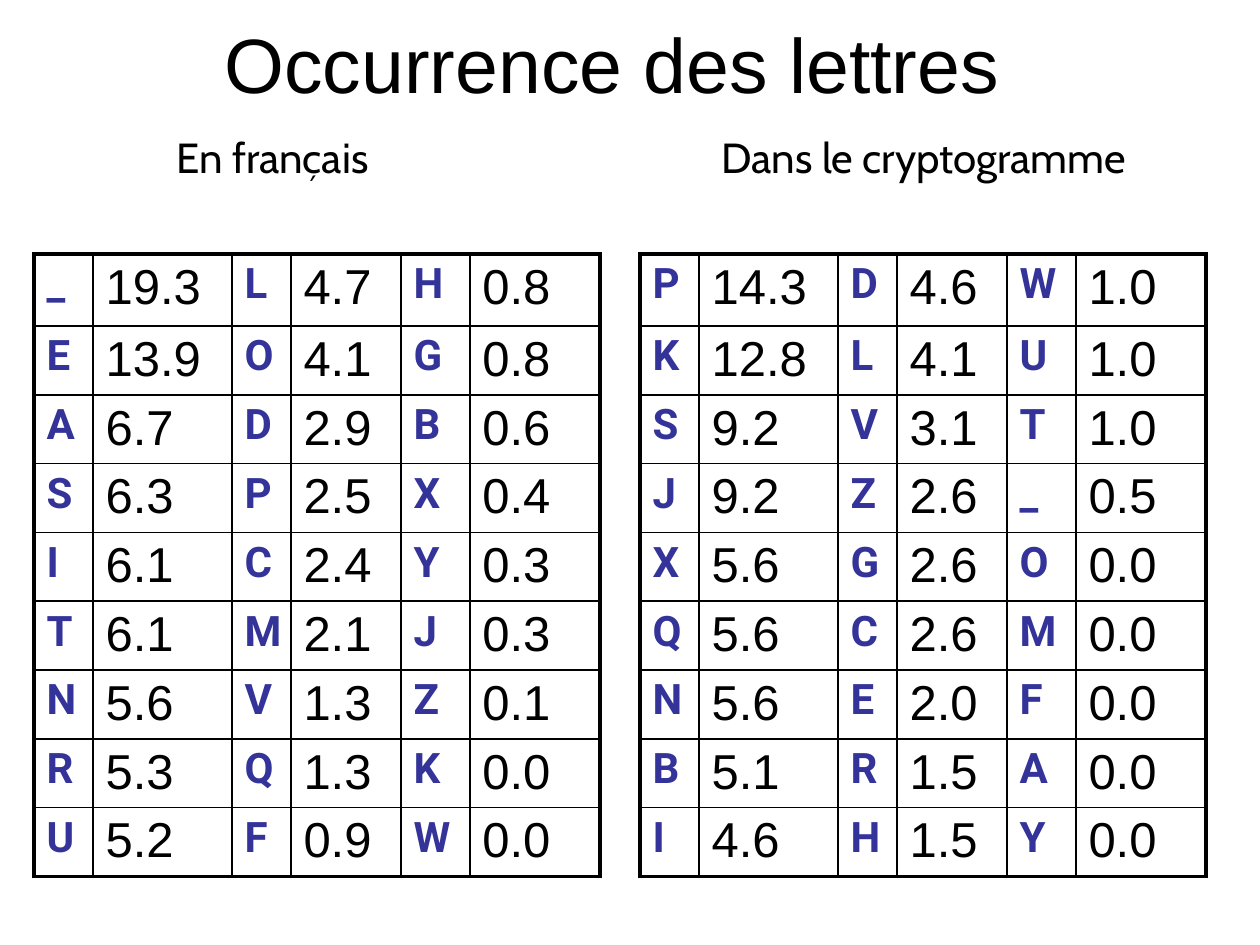
from dataclasses import dataclass

from lxml.etree import SubElement
from pptx import Presentation
from pptx.dml.color import RGBColor
from pptx.enum.text import MSO_ANCHOR, MSO_AUTO_SIZE, PP_ALIGN
from pptx.oxml.ns import qn
from pptx.util import Pt

PX = 914400 / 126


@dataclass(frozen=True)
class Style:
    font: str
    size: int
    color: str = "000000"
    bold: bool = False


@dataclass(frozen=True)
class Theme:
    title: Style = Style("Arial", 44)
    label: Style = Style("Cabin", 24)
    letter: Style = Style("Roboto", 24, "333399", True)
    value: Style = Style("Arial", 28)
    line: str = "000000"
    outer: float = 2.25
    inner: float = 1


THEME = Theme()
COLS = (59, 139, 59, 110, 69, 130)
TOP, HEAD, BODY = 254, 72, 538  # table top, first row, all other rows
FRENCH = """\
_ 19.3 L 4.7 H 0.8
E 13.9 O 4.1 G 0.8
A 6.7 D 2.9 B 0.6
S 6.3 P 2.5 X 0.4
I 6.1 C 2.4 Y 0.3
T 6.1 M 2.1 J 0.3
N 5.6 V 1.3 Z 0.1
R 5.3 Q 1.3 K 0.0
U 5.2 F 0.9 W 0.0"""
CIPHER = """\
P 14.3 D 4.6 W 1.0
K 12.8 L 4.1 U 1.0
S 9.2 V 3.1 T 1.0
J 9.2 Z 2.6 _ 0.5
X 5.6 G 2.6 O 0.0
Q 5.6 C 2.6 M 0.0
N 5.6 E 2.0 F 0.0
B 5.1 R 1.5 A 0.0
I 4.6 H 1.5 Y 0.0"""


def px(n):
    return round(n * PX)


def write(frame, text, style):
    frame.text = text
    font = frame.paragraphs[0].runs[0].font
    font.name, font.size, font.bold = style.font, Pt(style.size), style.bold
    font.color.rgb = RGBColor.from_string(style.color)


def add_text(slide, text, style, box):
    shape = slide.shapes.add_textbox(*map(px, box))
    write(shape.text_frame, text, style)
    return shape.text_frame


def add_title(slide, text, box):
    frame = add_text(slide, text, THEME.title, box)
    frame.word_wrap = True
    frame.vertical_anchor = MSO_ANCHOR.MIDDLE
    frame.paragraphs[0].alignment = PP_ALIGN.CENTER


def add_label(slide, text, box):
    frame = add_text(slide, text, THEME.label, box)
    frame.word_wrap = False
    frame.auto_size = MSO_AUTO_SIZE.SHAPE_TO_FIT_TEXT


def set_border(cell, edges):
    """Draw the four sides; edges maps L, R, T, B to True on the table's rim."""
    props = cell._tc.get_or_add_tcPr()
    for side, rim in edges.items():
        width = Pt(THEME.outer if rim else THEME.inner)
        line = SubElement(props, qn(f"a:ln{side}"), w=str(width))
        fill = SubElement(line, qn("a:solidFill"))
        SubElement(fill, qn("a:srgbClr"), val=THEME.line)


def space_before(par, percent):
    space = SubElement(par._p.get_or_add_pPr(), qn("a:spcBef"))
    SubElement(space, qn("a:spcPct"), val=str(percent * 1000))


def add_grid(slide, left, text):
    """Add a table of alternating letter and frequency columns."""
    rows = [line.split() for line in text.splitlines()]
    box = (left, TOP, sum(COLS), HEAD + BODY)
    table = slide.shapes.add_table(len(rows), len(COLS), *map(px, box)).table
    table.first_row = table.horz_banding = False
    for col, width in zip(table.columns, COLS):
        col.width = px(width)
    for r, row in enumerate(rows):
        table.rows[r].height = px(BODY / (len(rows) - 1) if r else HEAD)
        for c, word in enumerate(row):
            cell = table.cell(r, c)
            cell.margin_top, cell.margin_bottom = px(6), px(4)
            write(cell.text_frame, word, THEME.value if c % 2 else THEME.letter)
            space_before(cell.text_frame.paragraphs[0], 20)
            set_border(cell, {"L": c == 0, "R": c == len(COLS) - 1,
                              "T": r == 0, "B": r == len(rows) - 1})
            cell.fill.background()


def main():
    deck = Presentation()
    deck.slide_width, deck.slide_height = px(1260), px(945)
    slide = deck.slides.add_slide(deck.slide_layouts[6])
    add_title(slide, "Occurrence des lettres ", (25, 0, 1196, 125))
    add_grid(slide, 34, FRENCH)
    add_grid(slide, 640, CIPHER)
    add_label(slide, "En français", (164, 125, 229, 63))
    add_label(slide, "Dans le cryptogramme", (709, 125, 445, 63))
    deck.save("out.pptx")


if __name__ == "__main__":
    main()
